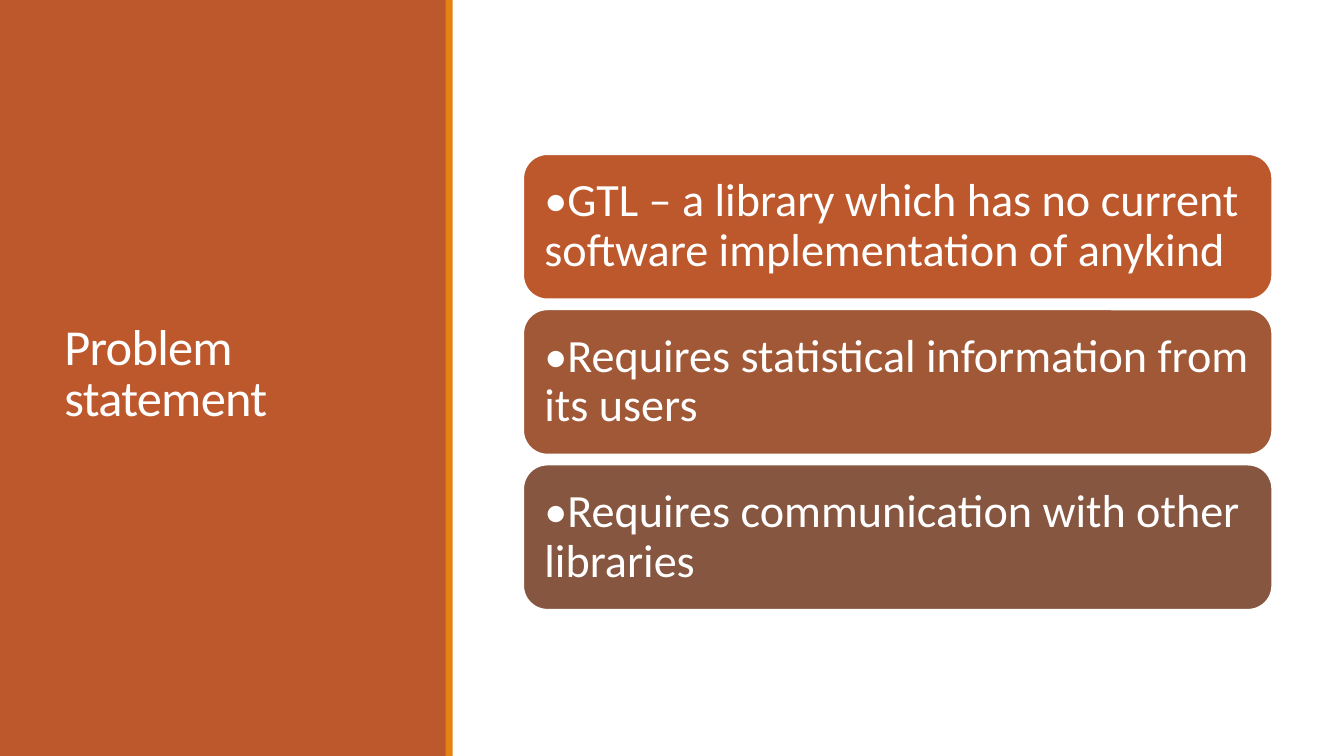
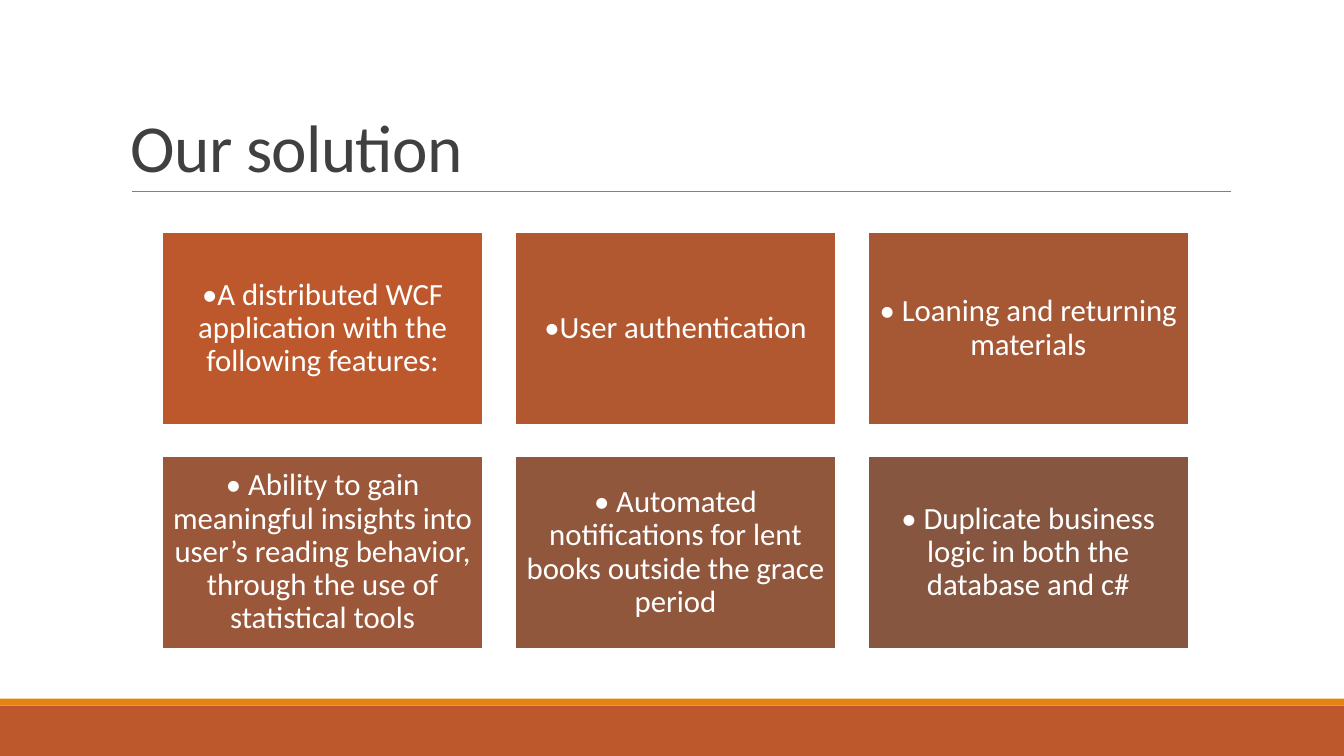
"""Build the problem and solution slides."""
from lxml.etree import SubElement
from pptx import Presentation
from pptx.dml.color import RGBColor
from pptx.enum.shapes import MSO_CONNECTOR, MSO_SHAPE
from pptx.enum.text import MSO_ANCHOR, PP_ALIGN
from pptx.oxml.ns import qn
from pptx.util import Inches, Pt

HUES = {
    "rust": "BD582C", "gold": "E48312", "white": "FFFFFF",
    "ink": "404040", "rule": "808080", "clay": "B15831",
    "brick": "A65835", "earth": "A05837", "cedar": "9B5739",
    "bark": "90573D", "umber": "865640",
}
FONT = "Calibri"

deck = Presentation()
deck.slide_width, deck.slide_height = Inches(13.333), Inches(7.5)
COL, ROW = deck.slide_width / 100, deck.slide_height / 100


def block(slide, area, hue, kind=MSO_SHAPE.RECTANGLE, edge=False):
    """Add a filled shape; area is in percent of the slide."""
    x, y, w, h = area
    shape = slide.shapes.add_shape(
        kind, round(x * COL), round(y * ROW), round(w * COL), round(h * ROW))
    shape.shadow.inherit = False
    shape.fill.solid()
    shape.fill.fore_color.rgb = RGBColor.from_string(HUES[hue])
    if edge:
        shape.line.color.rgb = RGBColor.from_string(HUES["white"])
        shape.line.width = Pt(1.25)
    else:
        shape.line.fill.background()
    return shape


def write(shape, text, size, hue="white", pad=None, align=PP_ALIGN.LEFT,
          anchor=MSO_ANCHOR.MIDDLE, lead=0.9, track=0):
    """Set one paragraph of text in a shape."""
    frame = shape.text_frame
    frame.word_wrap = True
    frame.vertical_anchor = anchor
    if pad is not None:
        frame.margin_left = frame.margin_right = Inches(pad)
        frame.margin_top = frame.margin_bottom = Inches(pad)
    para = frame.paragraphs[0]
    para.text = text
    para.alignment = align
    para.line_spacing = lead
    para.font.name = FONT
    para.font.size = Pt(size)
    para.font.color.rgb = RGBColor.from_string(HUES[hue])
    if track:
        para.runs[0].font._element.set("spc", str(track))


blank = deck.slide_layouts[6]
first, last = (deck.slides.add_slide(blank) for _ in range(2))

bands = [
    (first, (0, 0, 33.23, 100), "rust"),
    (first, (33.15, 0, 0.53, 100), "gold"),
    (last, (0, 93.33, 100, 6.67), "rust"),
    (last, (0, 92.4, 100, 0.93), "gold"),
]
for slide, area, hue in bands:
    block(slide, area, hue)

heads = [
    (first, (4.05, 7.6, 25.28, 84.13), "Problem statement", 36, "white",
     MSO_ANCHOR.MIDDLE),
    (last, (9, 4.13, 82.5, 21.2), "Our solution", 48, "ink",
     MSO_ANCHOR.BOTTOM),
]
for slide, (x, y, w, h), text, size, hue, anchor in heads:
    title = slide.shapes.add_textbox(
        round(x * COL), round(y * ROW), round(w * COL), round(h * ROW))
    write(title, text, size, hue, anchor=anchor, lead=0.85, track=-50)

needs = [
    ("rust", "•GTL – a library which has no current software "
             "implementation of anykind"),
    ("earth", "•Requires statistical information from its users"),
    ("umber", "•Requires communication with other libraries"),
]
for row, (hue, text) in enumerate(needs):
    area = (38.93, 20.4 + row * 20.53, 55.73, 19.2)
    card = block(first, area, hue, MSO_SHAPE.ROUNDED_RECTANGLE, True)
    write(card, text, 33, pad=0.14)

level = round(25.33 * ROW)
rule = last.shapes.add_connector(
    MSO_CONNECTOR.STRAIGHT, round(9.83 * COL), level,
    round(91.58 * COL), level)
rule.line.color.rgb = RGBColor.from_string(HUES["rule"])
rule.line.width = Pt(0.5)
SubElement(rule._element.spPr, qn("a:effectLst"))

parts = [
    ("rust", "•A distributed WCF application with the following features:"),
    ("clay", "•User authentication"),
    ("brick", "• Loaning and returning materials"),
    ("cedar", "• Ability to gain meaningful insights into user’s reading "
              "behavior, through the use of statistical tools"),
    ("bark", "• Automated notifications for lent books outside the "
             "grace period"),
    ("umber", "• Duplicate business logic in both the database and c#"),
]
for spot, (hue, text) in enumerate(parts):
    row, col = divmod(spot, 3)
    area = (12.08 + col * 26.25, 30.75 + row * 29.6, 23.85, 25.45)
    card = block(last, area, hue, edge=True)
    write(card, text, 22, pad=0.09, align=PP_ALIGN.CENTER)

deck.save("out.pptx")
